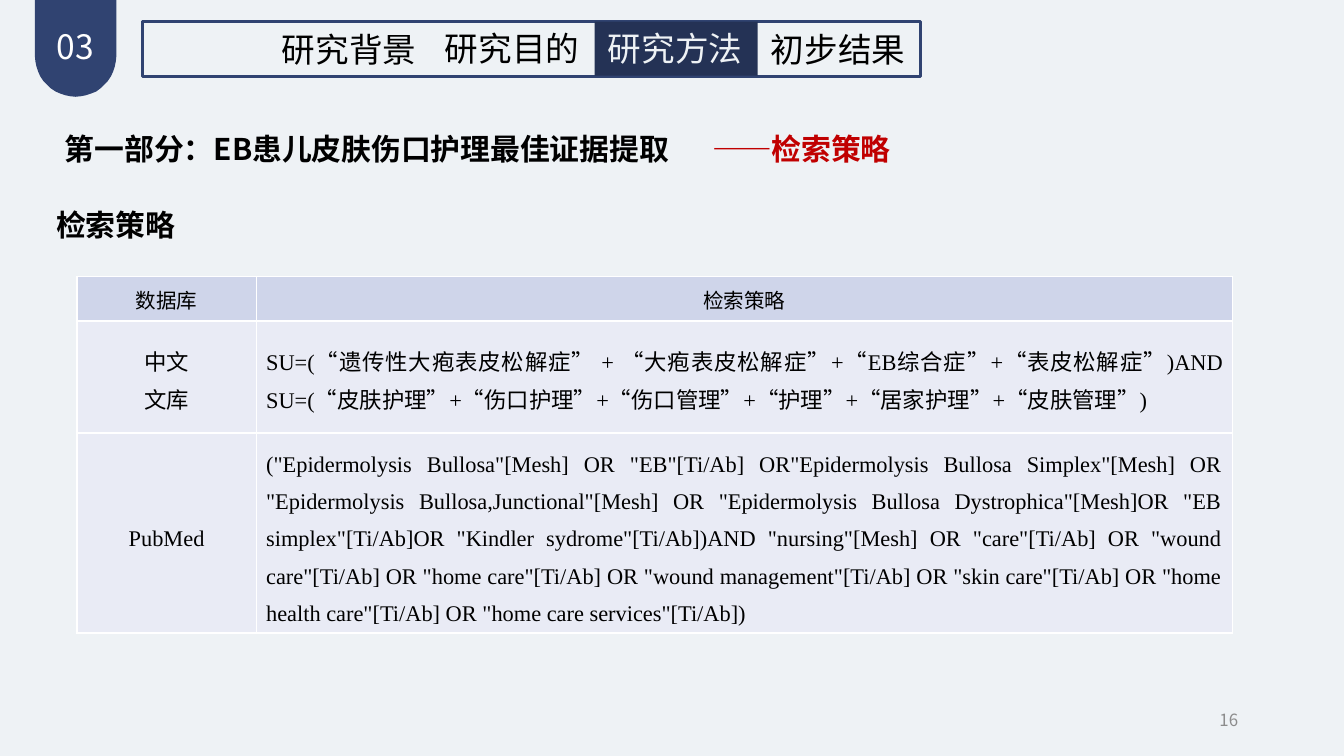
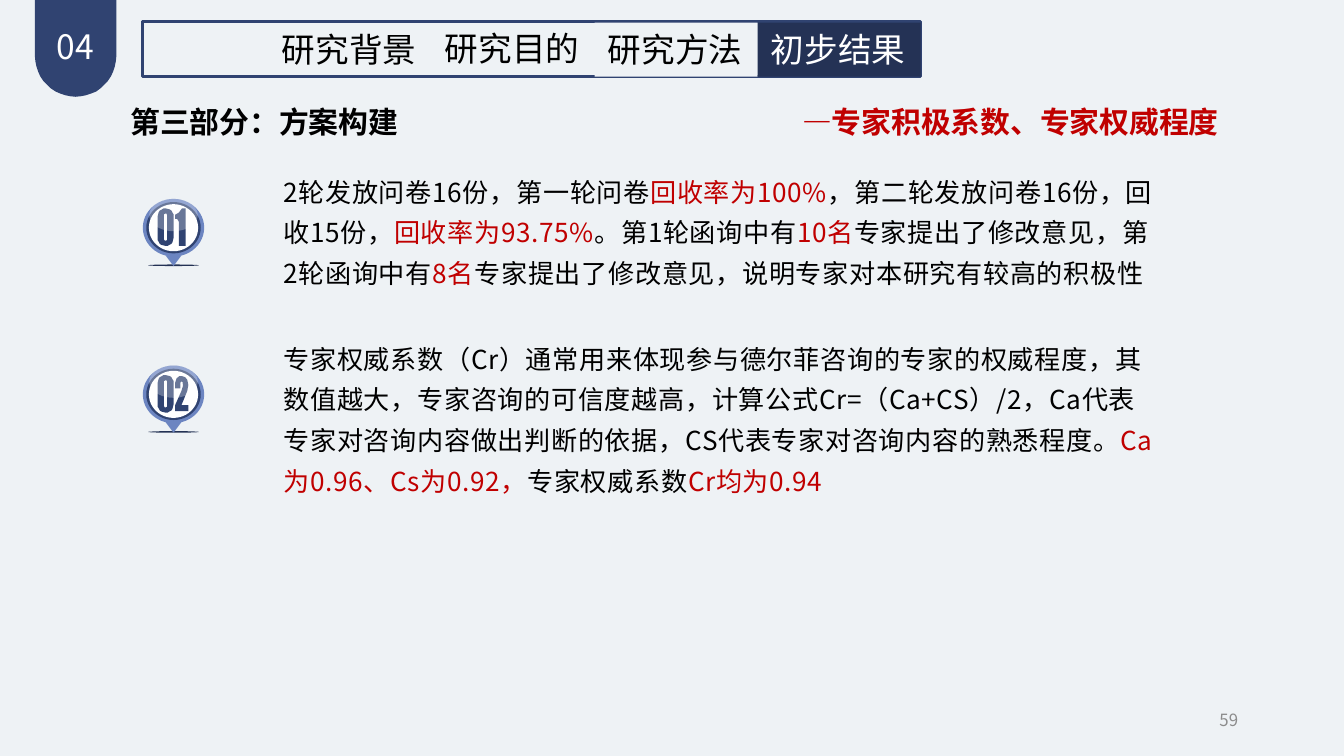
from math import cos, sin, pi, copysign
from lxml.etree import SubElement
from pptx import Presentation
from pptx.dml.color import RGBColor
from pptx.enum.shapes import MSO_SHAPE
from pptx.enum.text import MSO_ANCHOR, MSO_AUTO_SIZE, PP_ALIGN
from pptx.oxml.ns import qn
from pptx.util import Cm, Pt

C = {"bg": "EEF2F5", "blue": "304371", "navy": "243255", "sky": "6C85C1",
     "black": "000000", "white": "FFFFFF", "red": "C00000", "grey": "8C8C8C",
     "head": "CFD5EA", "row": "E9EBF5"}
SANS, SERIF = "Noto Sans CJK SC", "Times New Roman"


def write(tf, text, size=18, color="black", accent="red", font=SANS, bold=False,
          align=PP_ALIGN.LEFT, anchor=MSO_ANCHOR.TOP, wrap=True, spacing=None,
          before=0, track=0):
    """Fill a text frame; one paragraph a line, with accent runs between bars."""
    tf.word_wrap, tf.auto_size, tf.vertical_anchor = wrap, MSO_AUTO_SIZE.NONE, anchor
    for i, line in enumerate(text.split("\n")):
        p = tf.add_paragraph() if i else tf.paragraphs[0]
        p.alignment = align
        if spacing:
            p.line_spacing = spacing
        if i and before:
            p.space_before = Pt(before)
        for j, part in enumerate(line.split("|")):
            if not part:
                continue
            r = p.add_run()
            r.text = part
            r.font.size, r.font.bold, r.font.name = Pt(size), bold, font
            r.font.color.rgb = RGBColor.from_string(C[accent if j % 2 else color])
            rPr = r.font._element
            rPr.set("lang", "zh-CN")
            if track:
                rPr.set("spc", str(track))
            SubElement(rPr, qn("a:ea"), typeface=SANS)


def paint(sp, fill=None, line=None, alpha=None):
    """Give a shape a flat fill and outline without a shadow."""
    sp.shadow.inherit = False
    if fill:
        sp.fill.solid()
        sp.fill.fore_color.rgb = RGBColor.from_string(C[fill])
    else:
        sp.fill.background()
    if alpha:
        clr = sp.fill._xPr.find(qn("a:solidFill"))[0]
        SubElement(clr, qn("a:alpha"), val=str(alpha * 1000))
    if line:
        sp.line.color.rgb = RGBColor.from_string(C[line])
        sp.line.width = Pt(1.5)
    else:
        sp.line.fill.background()


prs = Presentation()
prs.slide_width, prs.slide_height = Cm(25.4), Cm(14.29)
bg = prs.slide_master.background.fill
bg.solid()
bg.fore_color.rgb = RGBColor.from_string(C["bg"])

# Shared parts: number badge, navigation bar, title, red subtitle, page number
SECTIONS = ["研究背景", "研究目的", "研究方法", "初步结果"]
PAGES = [
    dict(badge="03", active=2, ink="bg", page="16", top=2.34,
         title="第一部分：EB患儿皮肤伤口护理最佳证据提取", left=0.97, width=12.24,
         sub="——检索策略", sub_left=13.21, sub_width=8.76),
    dict(badge="04", active=3, ink="white", page="59", top=1.83,
         title="第三部分：方案构建", left=2.21, width=12.7,
         sub="—专家积极系数、专家权威程度", sub_left=14.91, sub_width=9.53),
]
slides = []
for d in PAGES:
    s = prs.slides.add_slide(prs.slide_layouts[5])
    slides.append(s)

    # Badge with a rounded foot
    arc = [(143 + 77 * cos(k * pi / 24), 106 + 77 * sin(k * pi / 24)) for k in range(25)]
    fb = s.shapes.build_freeform(66, 0, scale=Cm(0.01))
    fb.add_line_segments([(220, 0)] + arc)
    paint(fb.convert_to_shape(), "blue")
    sp = s.shapes.add_textbox(Cm(0.81), Cm(0.36), Cm(1.24), Cm(1.02))
    write(sp.text_frame, d["badge"], color="white", align=PP_ALIGN.CENTER, wrap=False)

    # Navigation bar
    for i, name in enumerate(SECTIONS):
        active = i == d["active"]
        top = 0.41 if i == 1 or i == d["active"] == 2 else 0.43
        box = Cm(5.08 + 3.08 * i), Cm(top), Cm(3.08), Cm(1.02)
        if active or i in (0, 2):
            sp = s.shapes.add_shape(MSO_SHAPE.RECTANGLE, *box)
            paint(sp, "navy" if active else "bg")
        else:
            sp = s.shapes.add_textbox(*box)
        write(sp.text_frame, name, color=d["ink"] if active else "black")
        if i == 0:
            frame = s.shapes.add_shape(MSO_SHAPE.RECTANGLE,
                                       Cm(2.69), Cm(0.41), Cm(14.71), Cm(1.04))
            paint(frame, line="blue")

    # Title and subtitle
    sp = s.shapes.title
    sp.left, sp.top, sp.width, sp.height = Cm(d["left"]), Cm(d["top"]), Cm(d["width"]), Cm(0.94)
    write(sp.text_frame, d["title"], size=16, bold=True)
    sp = s.shapes.add_textbox(Cm(d["sub_left"]), Cm(d["top"]), Cm(d["sub_width"]), Cm(0.94))
    write(sp.text_frame, d["sub"], size=16, color="red", bold=True)

    # Page number
    sp = s.shapes.add_textbox(Cm(17.93), Cm(13.23), Cm(5.72), Cm(0.76))
    write(sp.text_frame, d["page"], size=9, color="grey", align=PP_ALIGN.RIGHT,
          anchor=MSO_ANCHOR.MIDDLE)

# Slide 1: search strategy table
s = slides[0]
sp = s.shapes.add_textbox(Cm(0.81), Cm(3.78), Cm(6.99), Cm(0.94))
write(sp.text_frame, "检索策略", size=16, bold=True)

ROWS = [
    ("数据库", "检索策略"),
    ("中文\n文库",
     "SU=(“遗传性大疱表皮松解症” + “大疱表皮松解症”+“EB综合症”+“表皮松解症”)AND "
     "SU=(“皮肤护理”+“伤口护理”+“伤口管理”+“护理”+“居家护理”+“皮肤管理”)"),
    ("PubMed",
     '("Epidermolysis Bullosa"[Mesh] OR "EB"[Ti/Ab] OR"Epidermolysis Bullosa Simplex"[Mesh] OR '
     '"Epidermolysis Bullosa,Junctional"[Mesh] OR "Epidermolysis Bullosa Dystrophica"[Mesh]OR '
     '"EB simplex"[Ti/Ab]OR "Kindler sydrome"[Ti/Ab])AND "nursing"[Mesh] OR "care"[Ti/Ab] OR '
     '"wound care"[Ti/Ab] OR "home care"[Ti/Ab] OR "wound management"[Ti/Ab] OR '
     '"skin care"[Ti/Ab] OR "home health care"[Ti/Ab] OR "home care services"[Ti/Ab])'),
]
table = s.shapes.add_table(3, 2, Cm(1.45), Cm(5.23), Cm(21.84), Cm(6.73)).table
table.first_row = table.horz_banding = False
for col, width in zip(table.columns, (3.4, 18.44)):
    col.width = Cm(width)
for row, height in zip(table.rows, (0.84, 2.11, 3.78)):
    row.height = Cm(height)
for i, texts in enumerate(ROWS):
    for j, text in enumerate(texts):
        cell = table.cell(i, j)
        write(cell.text_frame, text, size=12 if i else 11, font=SERIF if i else SANS,
              align=PP_ALIGN.JUSTIFY if i and j else PP_ALIGN.CENTER, spacing=Pt(20))
        cell.margin_left = cell.margin_right = Cm(0.18)
        cell.margin_top = cell.margin_bottom = 0
        cell.vertical_anchor = MSO_ANCHOR.MIDDLE if i else MSO_ANCHOR.TOP
        for side in ("a:lnL", "a:lnR", "a:lnT", "a:lnB"):
            ln = SubElement(cell._tc.get_or_add_tcPr(), qn(side), w=str(Pt(1)))
            SubElement(SubElement(ln, qn("a:solidFill")), qn("a:srgbClr"), val=C["white"])
        cell.fill.solid()
        cell.fill.fore_color.rgb = RGBColor.from_string(C["row" if i else "head"])

# Slide 2: numbered pins, drawn in hundredths of a centimetre from the pin's top centre
s = slides[1]
DISCS = [("navy", 96, 3, 124), ("sky", 116, 109, 0), ("blue", 103, 97, 6), ("white", 93, 89, 10)]
TAIL = [(-15, 107), (0, 127), (15, 107)]
ZERO = [[(-15 + r * cos(a), 53.5 + copysign(h, sin(a)) + r * sin(a))
         for a in (k * pi / 12 + 0.01 for k in range(24))]
        for r, h in ((15, 20.5), (3, 22.5))]
ONE = [(23, 18), (23, 89), (10, 89), (10, 43), (7, 38), (3, 38), (3, 30), (10, 26), (16, 18)]
TWO = [(28, 75), (28, 86), (3, 86), (3, 75), (15, 48), (18, 38), (17, 31), (15, 30),
       (13, 32), (13, 43), (3, 43), (3, 33), (6, 24), (11, 20), (16, 20), (22, 22),
       (26, 27), (28, 37), (26, 48), (15, 75)]
cx = 328
for top, digit in ((376, ONE), (691, TWO)):
    g = s.shapes.add_group_shape().shapes
    for color, w, h, dy in DISCS:
        sp = g.add_shape(MSO_SHAPE.OVAL, Cm((cx - w / 2) / 100), Cm((top + dy) / 100),
                         Cm(w / 100), Cm(h / 100))
        paint(sp, color)
    for color, contours in (("sky", [TAIL]), ("blue", ZERO), ("blue", [digit])):
        fb = None
        for pts in contours:
            pts = [(cx + x, top + y) for x, y in pts]
            if fb:
                fb.move_to(*pts[0])
            else:
                fb = g.build_freeform(*pts[0], scale=Cm(0.01))
            fb.add_line_segments(pts[1:])
        paint(fb.convert_to_shape(), color)
    sheen = g.add_shape(MSO_SHAPE.OVAL, Cm((cx - 46) / 100), Cm(top / 100), Cm(0.92), Cm(0.61))
    paint(sheen, "white", alpha=28)

# Findings beside the pins
sp = s.shapes.add_textbox(Cm(5.08), Cm(3.15), Cm(17.04), Cm(7.06))
tf = sp.text_frame
tf.margin_left, tf.margin_right, tf.margin_top, tf.margin_bottom = Cm(0.28), Cm(0.23), 0, 0
write(tf, "2轮发放问卷16份，第一轮问卷|回收率为100%|，第二轮发放问卷16份，回收15份，|回收率为93.75%|"
          "。第1轮函询中有|10名|专家提出了修改意见，第2轮函询中有|8名|"
          "专家提出了修改意见，说明专家对本研究有较高的积极性\n"
          "专家权威系数（Cr）通常用来体现参与德尔菲咨询的专家的权威程度，其数值越大，"
          "专家咨询的可信度越高，计算公式Cr=（Ca+CS）/2，Ca代表专家对咨询内容做出判断的依据，"
          "CS代表专家对咨询内容的熟悉程度。|Ca为0.96、Cs为0.92，|专家权威系数|Cr均为0.94",
      size=14, spacing=1.3, before=24, track=30)

prs.save("out.pptx")
